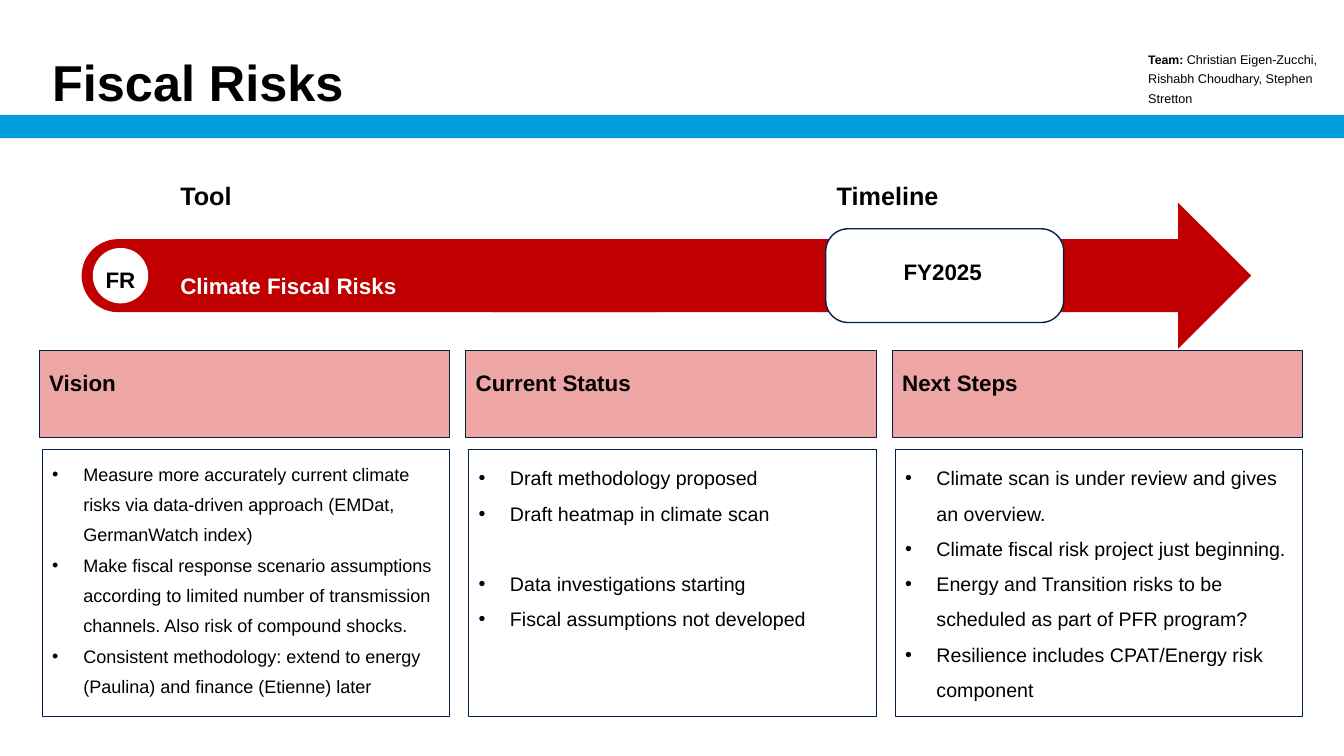
import pptx
import pptx.util
from lxml import etree
from pptx.dml.color import RGBColor
from pptx.enum.shapes import MSO_SHAPE
from pptx.enum.text import MSO_ANCHOR, PP_ALIGN
from pptx.oxml.ns import qn

SLIDE_W, SLIDE_H = 13.33, 7.5
BLACK = RGBColor(0x00, 0x00, 0x00)
WHITE = RGBColor(0xFF, 0xFF, 0xFF)
BLUE = RGBColor(0x00, 0x9F, 0xDA)
NAVY = RGBColor(0x04, 0x22, 0x45)
RED = RGBColor(0xC0, 0x00, 0x00)
PINK = RGBColor(0xED, 0xA6, 0xA3)
FONT = "Arial"
BULLET_INDENT = 0.31
SKIPPED_LINE = 25  # points left open between two groups of bullets

# Heading, text size, line spacing, groups of bullets
PANELS = [
    ("Vision", 12.9, 1.4, [[
        "Measure more accurately current climate risks via data-driven approach "
        "(EMDat, GermanWatch index)",
        "Make fiscal response scenario assumptions according to limited number of "
        "transmission channels. Also risk of compound shocks.",
        "Consistent methodology: extend to energy (Paulina) and finance (Etienne) later",
    ]]),
    ("Current Status", 14, 1.5, [
        ["Draft methodology proposed", "Draft heatmap in climate scan"],
        ["Data investigations starting", "Fiscal assumptions not developed"],
    ]),
    ("Next Steps", 14, 1.5, [[
        "Climate scan is under review and gives an overview.",
        "Climate fiscal risk project just beginning.",
        "Energy and Transition risks to be scheduled as part of PFR program?",
        "Resilience includes CPAT/Energy risk component",
    ]]),
]


def inches(*lengths):
    return [pptx.util.Inches(length) for length in lengths]


def style(font, size, color=BLACK, bold=False):
    font.name, font.size, font.bold = FONT, pptx.util.Pt(size), bold
    font.color.rgb = color


def add_block(slide, kind, box, fill=None, line_width=None):
    """Add a preset shape; without a line width it has no outline."""
    block = slide.shapes.add_shape(kind, *inches(*box))
    block.shadow.inherit = False
    if fill is None:
        block.fill.background()
    else:
        block.fill.solid()
        block.fill.fore_color.rgb = fill
    if line_width is None:
        block.line.fill.background()
    else:
        block.line.color.rgb = NAVY
        block.line.width = pptx.util.Pt(line_width)
    return block


def write(block, text, size, color=BLACK, bold=True, spacing=1.5,
          align=PP_ALIGN.LEFT, anchor=MSO_ANCHOR.TOP):
    """Put one paragraph into a shape or text box."""
    frame = block.text_frame
    frame.word_wrap = True
    frame.vertical_anchor = anchor
    frame.text = text
    paragraph = frame.paragraphs[0]
    paragraph.alignment, paragraph.line_spacing = align, spacing
    style(paragraph.runs[0].font, size, color, bold)
    return paragraph


def add_label(slide, box, text, size, **options):
    return write(slide.shapes.add_textbox(*inches(*box)), text, size, **options)


def write_bullets(block, groups, size, spacing):
    frame = block.text_frame
    frame.word_wrap = True
    frame.vertical_anchor = MSO_ANCHOR.TOP
    frame.text = "\n".join(item for group in groups for item in group)
    group_starts = {sum(map(len, groups[:i])) for i in range(1, len(groups))}
    indent = pptx.util.Inches(BULLET_INDENT)
    for index, paragraph in enumerate(frame.paragraphs):
        paragraph.alignment, paragraph.line_spacing = PP_ALIGN.LEFT, spacing
        if index in group_starts:
            paragraph.space_before = pptx.util.Pt(SKIPPED_LINE)
        properties = paragraph._p.get_or_add_pPr()
        properties.set("marL", str(indent))
        properties.set("indent", str(-indent))
        etree.SubElement(properties, qn("a:buFont")).set("typeface", FONT)
        etree.SubElement(properties, qn("a:buChar")).set("char", "•")
        style(paragraph.runs[0].font, size)


def add_header(slide, width):
    add_block(slide, MSO_SHAPE.RECTANGLE, (0, 1.14, width, 0.23), BLUE)
    add_label(slide, (0.42, 0.52, 10.5, 0.63), "Fiscal Risks", 36,
              spacing=0.8, anchor=MSO_ANCHOR.BOTTOM)
    team = add_label(slide, (width - 2.04, 0.39, 2.04, 0.74), "Team: ", 8.8,
                     spacing=1.3, anchor=MSO_ANCHOR.MIDDLE)
    members = team.add_run()
    members.text = "Christian Eigen-Zucchi, Rishabh Choudhary, Stephen Stretton"
    style(members.font, 9)


def add_timeline(slide, left, top, width, height):
    """Arrow with a rounded tail, a badge and the date box."""
    middle = top + height / 2
    band = height / 2
    badge = 0.55
    tool_left, date_left = left + 0.88, left + 7.38
    date_width, date_height = 2.36, 0.93

    tail = add_block(slide, MSO_SHAPE.ROUNDED_RECTANGLE,
                     (left, middle - band / 2, 6.04, band), RED)
    tail.adjustments[0] = 0.5
    add_block(slide, MSO_SHAPE.RIGHT_ARROW,
              (left + 4.07, top, width - 4.07, height), RED)
    date = add_block(slide, MSO_SHAPE.ROUNDED_RECTANGLE,
                     (date_left, middle - date_height / 2, date_width, date_height),
                     WHITE, 1)
    date.adjustments[0] = 0.24
    badge_box = (left + 0.11, middle - badge / 2, badge, badge)
    add_block(slide, MSO_SHAPE.OVAL, badge_box, WHITE)

    for heading, heading_left in (("Tool", tool_left), ("Timeline", date_left + 0.01)):
        add_label(slide, (heading_left, top - 0.42, 2.21, 0.58), heading, 18)
    add_label(slide, (date_left + 0.1, top + 0.14, 2.12, 0.95), "FY2025", 16,
              align=PP_ALIGN.CENTER, anchor=MSO_ANCHOR.MIDDLE)
    add_label(slide, badge_box, "FR", 16, align=PP_ALIGN.CENTER)
    add_label(slide, (tool_left, top + 0.51, 6.14, 0.4), "Climate Fiscal Risks", 16,
              color=WHITE)


def add_panel(slide, left, top, width, panel):
    heading, size, spacing, groups = panel
    overhang = 0.03
    title = add_block(slide, MSO_SHAPE.RECTANGLE,
                      (left - overhang, top, width + overhang, 0.86), PINK, 0.75)
    write(title, heading, 16)
    body = add_block(slide, MSO_SHAPE.RECTANGLE, (left, top + 0.98, width, 2.65),
                     line_width=0.75)
    write_bullets(body, groups, size, spacing)


def main():
    deck = pptx.Presentation()
    deck.slide_width, deck.slide_height = inches(SLIDE_W, SLIDE_H)
    slide = deck.slides.add_slide(deck.slide_layouts[6])
    add_header(slide, SLIDE_W)
    add_timeline(slide, 0.81, 2.01, 11.6, 1.45)
    margin, panel_width, gap = 0.42, 4.04, 0.19
    for column, panel in enumerate(PANELS):
        add_panel(slide, margin + column * (panel_width + gap), 3.48, panel_width, panel)
    deck.save("out.pptx")


if __name__ == "__main__":
    main()
